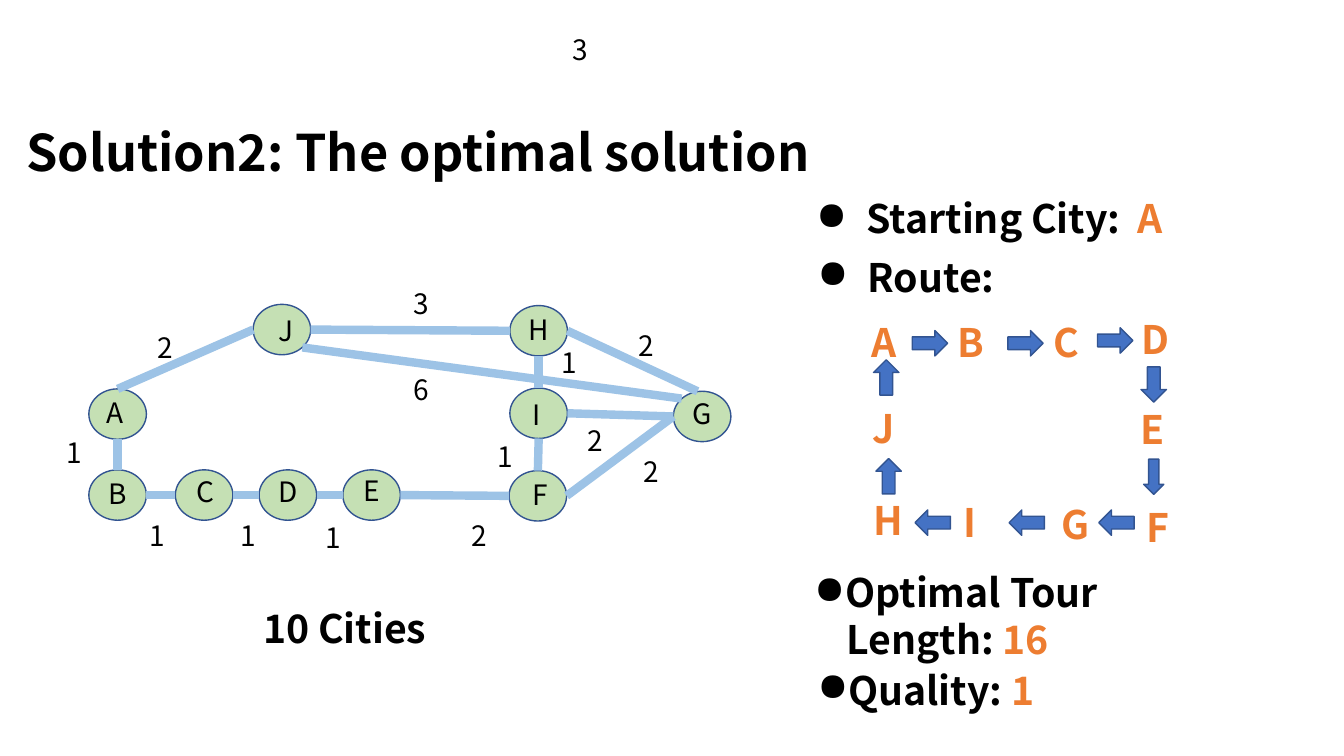
import pptx
import pptx.util
import pptx.dml.color
import pptx.enum.shapes
import pptx.enum.text
import pptx.oxml.ns
from lxml import etree

Cm = pptx.util.Cm
RGBColor = pptx.dml.color.RGBColor
SHAPES = pptx.enum.shapes.MSO_SHAPE

BLACK = RGBColor(0x00, 0x00, 0x00)
ORANGE = RGBColor(0xED, 0x7D, 0x31)
GREEN = RGBColor(0xC5, 0xE0, 0xB4)
BLUE = RGBColor(0x44, 0x72, 0xC4)
OUTLINE = RGBColor(0x32, 0x54, 0x91)
ROAD = RGBColor(0x9D, 0xC3, 0xE6)

CITY_WIDTH, CITY_HEIGHT = 1.45, 1.27
ARROW_LENGTH = 0.89

# City: corner of the oval, corner of the letter (cm)
CITIES = {
    "A": (2.24, 9.8, 2.44, 9.83),
    "B": (2.24, 11.84, 2.49, 11.89),
    "C": (4.42, 11.84, 4.7, 11.84),
    "D": (6.53, 11.84, 6.76, 11.84),
    "E": (8.64, 11.84, 8.92, 11.81),
    "F": (12.83, 11.86, 13.18, 11.91),
    "G": (16.97, 9.86, 17.2, 9.86),
    "H": (12.85, 7.7, 13.06, 7.75),
    "I": (12.85, 9.78, 13.18, 9.88),
    "J": (6.38, 7.67, 6.76, 7.77),
}

# Points on an oval, as shares of its half width and half height
TOP, BOTTOM, LEFT, RIGHT = (0, -1), (0, 1), (-1, 0), (1, 0)
UPPER_LEFT, LOWER_RIGHT, NEAR_TOP = (-0.71, -0.71), (0.71, 0.71), (-0.16, -1)

# Road: two cities with the point used on each, length, corner of its label
ROADS = [
    ("F", TOP, "I", BOTTOM, "1", 12.29, 10.95),
    ("I", RIGHT, "G", LEFT, "2", 14.55, 10.54),
    ("A", TOP, "J", LEFT, "2", 3.71, 8.2),
    ("D", RIGHT, "E", LEFT, "1", 7.95, 12.98),
    ("B", RIGHT, "C", LEFT, "1", 3.53, 12.95),
    ("E", RIGHT, "F", LEFT, "2", 11.63, 12.93),
    ("H", BOTTOM, "I", TOP, "1", 13.89, 8.59),
    ("C", RIGHT, "D", LEFT, "1", 5.82, 12.95),
    ("G", LEFT, "F", RIGHT, "2", 15.98, 11.33),
    ("J", LOWER_RIGHT, "G", UPPER_LEFT, "6", 10.16, 9.25),
    ("J", RIGHT, "H", LEFT, "3", 10.16, 7.09),
    ("A", BOTTOM, "B", TOP, "1", 1.42, 10.85),
    ("G", NEAR_TOP, "H", RIGHT, "2", 15.85, 8.15),
]

# Stop on the tour: letter and its corner, arrow to the next stop
ROUTE = [
    ("A", 21.72, 7.9, 22.99, 8.33, 0.64, 0),
    ("B", 23.88, 7.9, 25.4, 8.33, 0.64, 0),
    ("C", 26.29, 7.9, 27.66, 8.26, 0.64, 0),
    ("D", 28.52, 7.82, 28.63, 9.37, 0.64, 90),
    ("E", 28.5, 10.08, 28.63, 11.76, 0.51, 90),
    ("F", 28.65, 12.57, 27.69, 12.85, 0.64, 180),
    ("G", 26.49, 12.47, 25.43, 12.85, 0.64, 180),
    ("I", 24.03, 12.42, 23.06, 12.85, 0.64, 180),
    ("H", 21.77, 12.37, 21.95, 11.68, 0.64, 270),
    ("J", 21.74, 10.06, 21.89, 9.19, 0.64, 270),
]


def add_span(para, text, size=28, color=BLACK, bold=True, tracking=0):
    span = para.add_run()
    span.text = text
    span.font.name = SlideWriter.font
    span.font.size = pptx.util.Pt(size)
    span.font.color.rgb = color
    span.font.bold = bold
    if tracking:
        span.font._element.set("spc", str(tracking * 100))


class SlideWriter:
    font = "Noto Sans CJK SC"

    def __init__(self, deck):
        self.page = deck.slides.add_slide(deck.slide_layouts[5])

    def fill_box(self, box, place, lines, wrap=True, **style):
        """Each line is a dict with spans, and maybe margin and bullet."""
        box.left, box.top, box.width, box.height = map(Cm, place)
        frame = box.text_frame
        frame.word_wrap = wrap
        frame.vertical_anchor = pptx.enum.text.MSO_ANCHOR.TOP
        frame.auto_size = pptx.enum.text.MSO_AUTO_SIZE.SHAPE_TO_FIT_TEXT
        for index, line in enumerate(lines):
            para = frame.add_paragraph() if index else frame.paragraphs[0]
            para.alignment = pptx.enum.text.PP_ALIGN.LEFT
            properties = para._p.get_or_add_pPr()
            properties.set("marL", str(Cm(line.get("margin", 0))))
            if line.get("bullet"):
                properties.set("indent", str(Cm(-1.27)))
                bullet = etree.SubElement(properties, pptx.oxml.ns.qn("a:buChar"))
                bullet.set("char", "●")
            for text, changes in line["spans"]:
                add_span(para, text, **{**style, **changes})

    def title(self, text, place):
        lines = [{"spans": [(text, {})]}]
        self.fill_box(self.page.shapes.title, place, lines, size=36)

    def text(self, place, lines, **style):
        box = self.page.shapes.add_textbox(0, 0, 0, 0)
        self.fill_box(box, place, lines, **style)

    def label(self, text, left, top, width=0.76, height=1.12, **style):
        style = {"size": 20, "bold": False, **style}
        self.text((left, top, width, height), [{"spans": [(text, {})]}], **style)

    def shape(self, kind, place, fill, rotation=0):
        shape = self.page.shapes.add_shape(kind, *map(Cm, place))
        shape.shadow.inherit = False
        shape.fill.solid()
        shape.fill.fore_color.rgb = fill
        shape.line.color.rgb = OUTLINE
        shape.line.width = pptx.util.Pt(1)
        shape.rotation = rotation

    def road(self, start, end):
        line = self.page.shapes.add_connector(
            pptx.enum.shapes.MSO_CONNECTOR.STRAIGHT, *map(Cm, start + end))
        line.line.color.rgb = ROAD
        line.line.width = pptx.util.Pt(6)
        etree.SubElement(line._element.spPr, pptx.oxml.ns.qn("a:effectLst"))


def city_point(city, side):
    left, top = CITIES[city][:2]
    return (left + CITY_WIDTH / 2 * (1 + side[0]),
            top + CITY_HEIGHT / 2 * (1 + side[1]))


def main():
    deck = pptx.Presentation()
    deck.slide_width, deck.slide_height = Cm(33.87), Cm(19.05)
    writer = SlideWriter(deck)
    writer.title("Solution2: The optimal solution", (0.41, 2.92, 22.3, 1.8))

    # Map of cities
    for left, top, _, _ in CITIES.values():
        writer.shape(SHAPES.OVAL, (left, top, CITY_WIDTH, CITY_HEIGHT), GREEN)
    for start, start_side, end, end_side, *_ in ROADS:
        writer.road(city_point(start, start_side), city_point(end, end_side))
    for *_, length, left, top in ROADS:
        writer.label(length, left, top)
    for city, (_, _, left, top) in CITIES.items():
        writer.label(city, left, top)
    writer.label("3", 14.17, 0.69)
    writer.label("10 Cities", 6.38, 15.11, 8.43, 1.45, size=28, bold=True)

    # Tour
    for city, left, top, arrow_left, arrow_top, thickness, turn in ROUTE:
        writer.label(city, left, top, 1.24, 1.45, size=28, bold=True, color=ORANGE)
        writer.shape(SHAPES.RIGHT_ARROW,
                     (arrow_left, arrow_top, ARROW_LENGTH, thickness), BLUE, turn)

    # Facts about the tour
    accent = {"color": ORANGE}
    writer.text((20.32, 4.78, 9.86, 1.45), [
        {"bullet": True, "margin": 1.27, "spans": [
            ("Starting City:", {}), (" ", {"tracking": 6}), ("A", accent)]}])
    writer.text((20.35, 6.25, 8, 1.45), [
        {"bullet": True, "margin": 1.27, "spans": [("Route:", {})]}])
    writer.text((20.27, 14.2, 9.07, 2.64), [
        {"bullet": True, "spans": [("Optimal Tour", {})]},
        {"margin": 0.81, "spans": [("Length: ", {}), ("16", accent)]}])
    writer.text((20.35, 16.66, 6.6, 1.45), [
        {"bullet": True, "spans": [("Quality: ", {}), ("1", accent)]}], wrap=False)

    deck.save("out.pptx")


if __name__ == "__main__":
    main()
